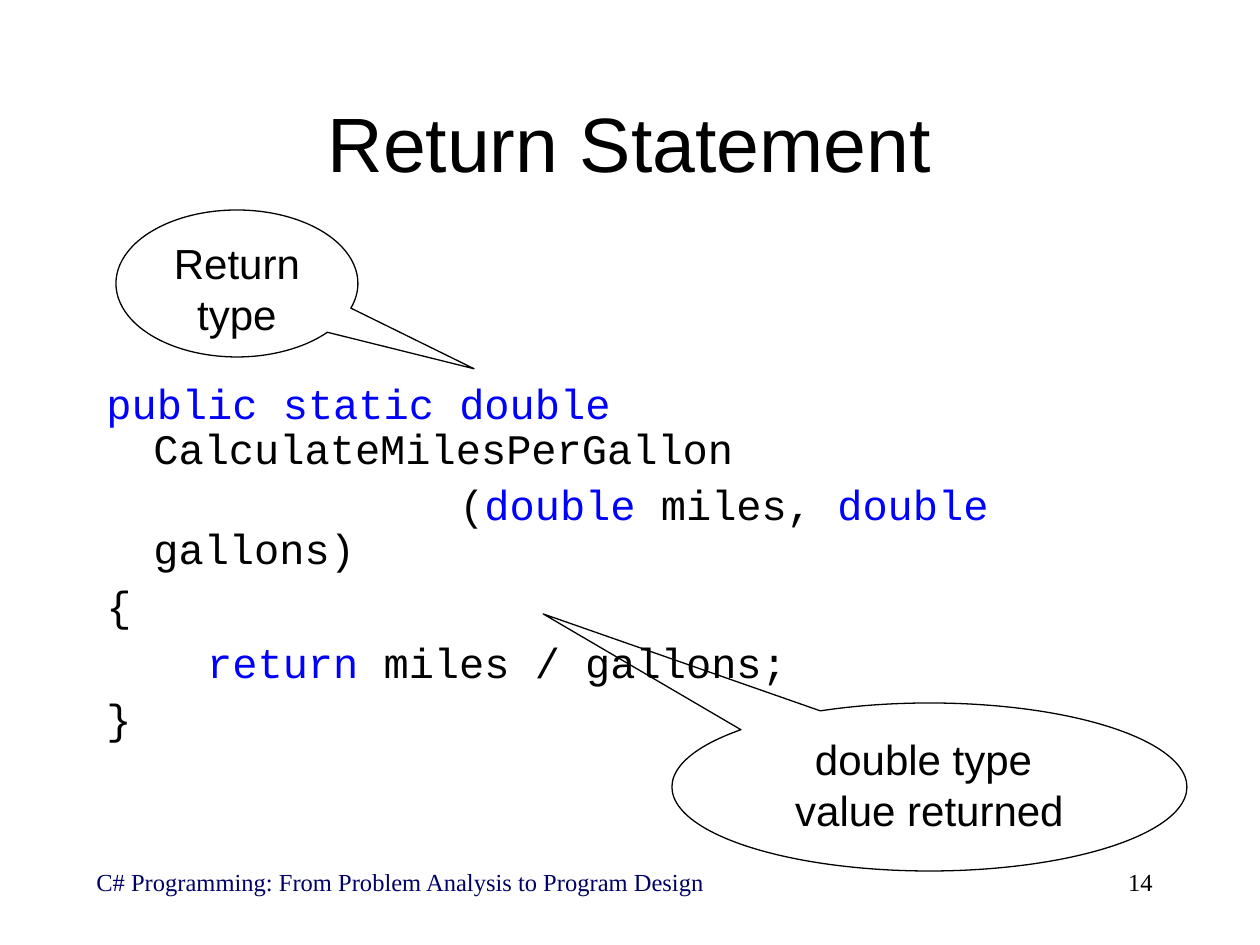
from dataclasses import dataclass
from pptx import Presentation
from pptx.dml.color import RGBColor as Rgb
from pptx.enum.shapes import MSO_SHAPE as Shape
from pptx.enum.text import MSO_ANCHOR as Anchor, PP_ALIGN as Align
from pptx.util import Pt

SCALE = 914400 // 126


@dataclass(frozen=True)
class Theme:
    ink: str = "000000"
    key: str = "0000FF"
    navy: str = "000066"
    sans: str = "Arial"
    mono: str = "Courier New"
    serif: str = "Times New Roman"
    head: int = 44
    body: int = 24
    foot: int = 14


THEME = Theme()
CODE = [
    [("public static double", True), (" CalculateMilesPerGallon", False)],
    [("              (", False), ("double ", True), ("miles, ", False),
     ("double", True), (" gallons)", False)],
    [("{", False)],
    [("    ", False), ("return", True), (" miles / gallons;", False)],
    [("}", False)],
]


def px(*nums):
    return [n * SCALE for n in nums]


def style(run, face, size, tint=THEME.ink):
    run.font.name = face
    run.font.size = Pt(size)
    run.font.color.rgb = Rgb.from_string(tint)


def add_box(slide, area):
    frame = slide.shapes.add_textbox(*px(*area)).text_frame
    frame.word_wrap = True
    return frame


def add_label(slide, area, text, face, size, tint=THEME.ink, align=Align.LEFT):
    frame = add_box(slide, area)
    frame.text = text
    para = frame.paragraphs[0]
    para.alignment = align
    style(para.runs[0], face, size, tint)
    return frame


def add_code(slide, area, lines):
    frame = add_box(slide, area)
    hang = px(47)[0]
    for i, line in enumerate(lines):
        para = frame.add_paragraph() if i else frame.paragraphs[0]
        para.line_spacing = 0.88
        para.space_before = Pt(7 if i else 0)
        props = para._p.get_or_add_pPr()
        props.set("marL", str(hang))
        props.set("indent", str(-hang))
        for text, is_key in line:
            run = para.add_run()
            run.text = text
            style(run, THEME.mono, THEME.body, THEME.key if is_key else THEME.ink)


def add_callout(slide, area, tip, text):
    shape = slide.shapes.add_shape(Shape.OVAL_CALLOUT, *px(*area))
    shape.shadow.inherit = False
    shape.fill.background()
    shape.line.color.rgb = Rgb.from_string(THEME.ink)
    shape.line.width = Pt(0.75)
    for i, value in enumerate(tip):
        shape.adjustments[i] = value
    frame = shape.text_frame
    frame.word_wrap = True
    frame.vertical_anchor = Anchor.TOP
    para = frame.paragraphs[0]
    para.text = text
    para.alignment = Align.CENTER
    for run in para.runs:
        style(run, THEME.sans, THEME.body)


def main():
    deck = Presentation()
    deck.slide_width, deck.slide_height = px(1260, 945)
    slide = deck.slides.add_slide(deck.slide_layouts[6])
    add_label(slide, (84, 861, 746, 63),
              "C# Programming: From Problem Analysis to Program Design",
              THEME.serif, THEME.foot, THEME.navy)
    add_label(slide, (903, 861, 262, 63), "14", THEME.serif, THEME.foot,
              align=Align.RIGHT)
    title = add_label(slide, (94, 63, 1071, 158), "Return Statement",
                      THEME.sans, THEME.head, align=Align.CENTER)
    title.vertical_anchor = Anchor.MIDDLE
    add_code(slide, (94, 378, 1071, 420), CODE)
    add_callout(slide, (672, 703, 515, 168), (-0.75, -1.03),
                "double type \vvalue returned")
    add_callout(slide, (116, 210, 242, 147), (0.98, 0.58), "Return type")
    deck.save("out.pptx")


if __name__ == "__main__":
    main()
